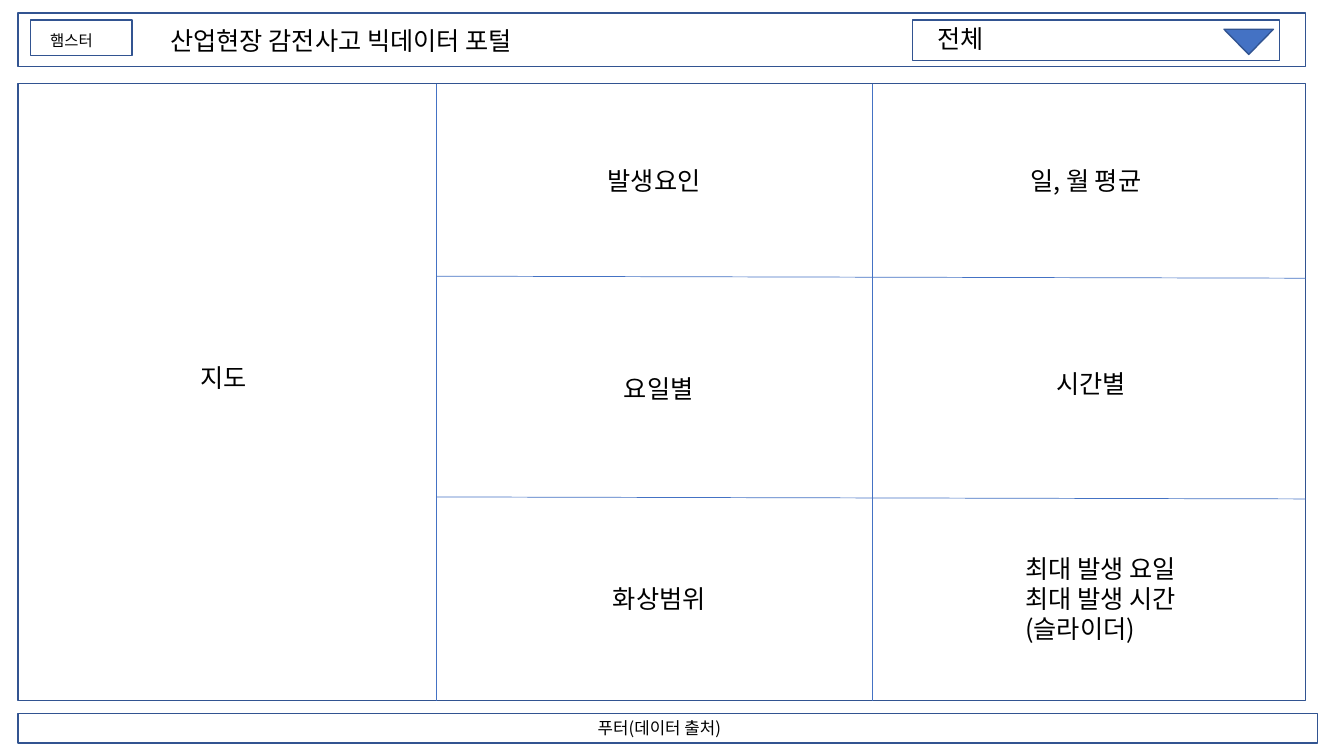
from lxml.etree import SubElement
from pptx import Presentation
from pptx.dml.color import RGBColor
from pptx.enum.shapes import MSO_CONNECTOR, MSO_SHAPE
from pptx.enum.text import MSO_AUTO_SIZE, PP_ALIGN
from pptx.oxml.ns import qn
from pptx.util import Inches, Pt

FONT = "Noto Sans CJK KR"
BLACK, BLUE, NAVY = "000000", "4472C4", "325491"

# Grid of the dashboard, in inches
COLUMNS = [0.18, 4.33, 8.65, 12.95]
ROWS = [0.83, 2.74, 4.93, 6.95]
LEFT, RIGHT = COLUMNS[0], COLUMNS[-1]
TOP, BOTTOM = ROWS[0], ROWS[-1]
ROW_LINE_DROP = 0.02

# Panel labels: column, row, offset in the cell, width, lines
PANEL_LABELS = [
    (0, 0, 1.71, 2.72, 0.74, ["지도"]),
    (1, 0, 1.60, 0.76, 1.33, ["발생요인"]),
    (2, 0, 1.47, 0.76, 1.6, ["일, 월 평균"]),
    (1, 1, 1.76, 0.91, 1.0, ["요일별"]),
    (2, 1, 1.73, 0.86, 1.07, ["시간별"]),
    (1, 2, 1.65, 0.81, 1.25, ["화상범위"]),
    (2, 2, 1.42, 0.51, 1.99, ["최대 발생 요일", "최대 발생 시간", "(슬라이더)"]),
]


def color(value):
    return RGBColor.from_string(value)


def add_box(slide, left, top, width, height, kind=MSO_SHAPE.RECTANGLE, fill=None):
    shape = slide.shapes.add_shape(
        kind, Inches(left), Inches(top), Inches(width), Inches(height))
    shape.shadow.inherit = False
    if fill:
        shape.fill.solid()
        shape.fill.fore_color.rgb = color(fill)
    else:
        shape.fill.background()
    shape.line.color.rgb = color(NAVY)
    shape.line.width = Pt(1)
    return shape


def add_divider(slide, start, end):
    line = slide.shapes.add_connector(
        MSO_CONNECTOR.STRAIGHT, *(Inches(value) for value in start + end))
    line.line.color.rgb = color(BLUE)
    line.line.width = Pt(0.5)
    SubElement(line._element.spPr, qn("a:effectLst"))


def add_label(slide, left, top, width, lines, size=18, align=PP_ALIGN.LEFT):
    height = 0.1 + len(lines) * size / 60
    box = slide.shapes.add_textbox(
        Inches(left), Inches(top), Inches(width), Inches(height))
    frame = box.text_frame
    frame.word_wrap = True
    frame.auto_size = MSO_AUTO_SIZE.SHAPE_TO_FIT_TEXT
    for index, text in enumerate(lines):
        paragraph = frame.add_paragraph() if index else frame.paragraphs[0]
        paragraph.alignment = align
        run = paragraph.add_run()
        run.text = text
        run.font.size = Pt(size)
        run.font.color.rgb = color(BLACK)
        run.font.name = FONT
        # Korean glyphs take the East Asian typeface
        SubElement(run.font._element, qn("a:ea"), typeface=FONT)


def add_header(slide):
    add_box(slide, LEFT, 0.13, RIGHT - LEFT, 0.53)
    add_box(slide, 0.3, 0.2, 1.01, 0.35)
    add_label(slide, 0.4, 0.26, 1.44, ["햄스터"], size=11)
    add_label(slide, 1.59, 0.2, 4.61, ["산업현장 감전사고 빅데이터 포털"])
    # Drop-down selector
    add_box(slide, 9.05, 0.2, 3.64, 0.4)
    add_label(slide, 9.2, 0.18, 2.41, ["전체"])
    arrow = add_box(slide, 12.14, 0.29, 0.49, 0.25,
                    MSO_SHAPE.ISOSCELES_TRIANGLE, BLUE)
    arrow.rotation = 180


def add_panels(slide):
    add_box(slide, LEFT, TOP, RIGHT - LEFT, BOTTOM - TOP)
    for x in COLUMNS[1:-1]:
        add_divider(slide, (x, TOP), (x, BOTTOM))
    for y in ROWS[1:-1]:
        add_divider(slide, (COLUMNS[1], y), (RIGHT, y + ROW_LINE_DROP))
    for column, row, across, down, width, lines in PANEL_LABELS:
        add_label(slide, COLUMNS[column] + across, ROWS[row] + down, width, lines)


def add_footer(slide):
    add_box(slide, LEFT, 7.08, 12.89, 0.29)
    add_label(slide, 3.07, 7.07, 6.94, ["푸터(데이터 출처)"],
              size=12, align=PP_ALIGN.CENTER)


def main():
    presentation = Presentation()
    presentation.slide_width = Inches(13.33)
    presentation.slide_height = Inches(7.5)
    slide = presentation.slides.add_slide(presentation.slide_layouts[6])
    add_header(slide)
    add_panels(slide)
    add_footer(slide)
    presentation.save("out.pptx")


if __name__ == "__main__":
    main()
